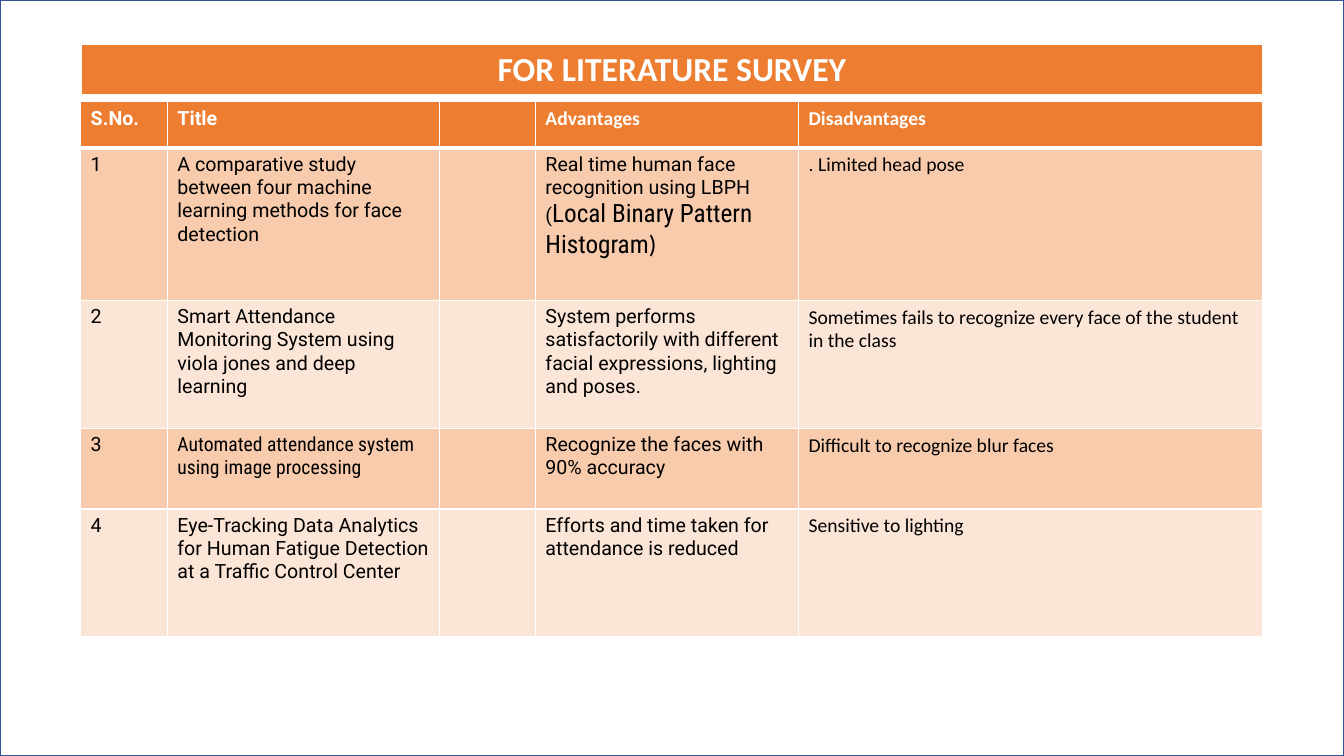
from lxml import etree
from pptx import Presentation
from pptx import util as u
from pptx.dml.color import RGBColor
from pptx.enum import shapes, text
from pptx.oxml import ns

PX = 9144
COLORS = {
    "frame": "325491",
    "header": "ED7D31",
    "odd": "F8CBAD",
    "even": "FBE5D6",
    "white": "FFFFFF",
    "black": "000000",
}
ROBOTO, CONDENSED, CALIBRI = "Roboto", "Roboto Condensed", "Calibri"


def px(n):
    return u.Emu(n * PX)


def rgb(name):
    return RGBColor.from_string(COLORS[name])


def add_run(p, content, font=ROBOTO, size=14, color="black", bold=False):
    r = p.add_run()
    r.text = content
    r.font.name = font
    r.font.size = u.Pt(size)
    r.font.bold = bold
    r.font.color.rgb = rgb(color)


class Deck:
    def __init__(self, width, height):
        self.prs = Presentation()
        self.prs.slide_width, self.prs.slide_height = px(width), px(height)
        self.s = self.prs.slides.add_slide(self.prs.slide_layouts[6])

    def frame(self, x, y, w, h):
        sp = self.s.shapes.add_shape(shapes.MSO_SHAPE.RECTANGLE, px(x), px(y), px(w), px(h))
        sp.shadow.inherit = False
        sp.fill.background()
        sp.line.color.rgb = rgb("frame")
        sp.line.width = u.Pt(1)

    def borders(self, cell, top=1, bottom=1):
        tc_pr = cell._tc.get_or_add_tcPr()
        for side, width in (("L", 1), ("R", 1), ("T", top), ("B", bottom)):
            ln = etree.SubElement(tc_pr, ns.qn(f"a:ln{side}"), w=str(u.Pt(width)))
            fill = etree.SubElement(ln, ns.qn("a:solidFill"))
            etree.SubElement(fill, ns.qn("a:srgbClr"), val=COLORS["white"])

    def cell(self, cell, paragraphs, fill, align=None, top=1, bottom=1, **style):
        self.borders(cell, top, bottom)
        cell.fill.solid()
        cell.fill.fore_color.rgb = rgb(fill)
        tf = cell.text_frame
        for i, runs in enumerate(paragraphs):
            p = tf.add_paragraph() if i else tf.paragraphs[0]
            p.alignment = align
            for content, font, size in runs:
                add_run(p, content, font, size, **style)

    def table(self, x, y, widths, heights):
        shape = self.s.shapes.add_table(
            len(heights), len(widths), px(x), px(y), px(sum(widths)), px(sum(heights)))
        for column, width in zip(shape.table.columns, widths):
            column.width = px(width)
        for row, height in zip(shape.table.rows, heights):
            row.height = px(height)
        return shape.table


def plain(content, font=ROBOTO, size=14):
    return [[(content, font, size)]]


HEADER = [
    plain("S.No."), plain("Title"), [],
    plain("Advantages", CALIBRI), plain("Disadvantages", CALIBRI),
]
PAPERS = [
    (plain("A comparative study between four machine learning methods for face detection"),
     [[("Real time human face recognition using LBPH", ROBOTO, 14)],
      [("(", ROBOTO, 14), ("Local Binary Pattern Histogram", CONDENSED, 18), (")", CALIBRI, 18)]],
     [[(".", ROBOTO, 14), (" Limited head pose", CALIBRI, 14)]]),
    (plain("Smart Attendance Monitoring System using viola jones and deep learning"),
     plain("System performs satisfactorily with different facial expressions, lighting and poses."),
     plain("Sometimes fails to recognize every face of the student in the class", CALIBRI)),
    (plain("Automated attendance system using image processing", CONDENSED),
     plain("Recognize the faces with 90% accuracy"),
     plain("Difficult to recognize blur faces", CALIBRI)),
    (plain("Eye-Tracking Data Analytics for Human Fatigue Detection at a Traffic Control Center"),
     plain("Efforts and time taken for attendance is reduced"),
     plain("Sensitive to lighting", CALIBRI)),
]


def main():
    deck = Deck(1333, 750)
    deck.frame(0, 0, 1333, 750)

    survey = deck.table(80, 101, [86, 270, 95, 261, 460], [46, 151, 127, 80, 127])
    for col, paragraphs in enumerate(HEADER):
        deck.cell(survey.cell(0, col), paragraphs, "header", bottom=3, color="white", bold=True)
    for row, (title, advantages, disadvantages) in enumerate(PAPERS, 1):
        fill = "odd" if row % 2 else "even"
        top = 3 if row == 1 else 1
        for col, paragraphs in enumerate([plain(str(row)), title, [], advantages, disadvantages]):
            deck.cell(survey.cell(row, col), paragraphs, fill, top=top)

    banner = deck.table(81, 44, [1171], [50])
    deck.cell(banner.cell(0, 0), plain("FOR LITERATURE SURVEY", CALIBRI, 24), "header",
              align=text.PP_ALIGN.CENTER, bottom=3, color="white", bold=True)

    deck.prs.save("out.pptx")


if __name__ == "__main__":
    main()
